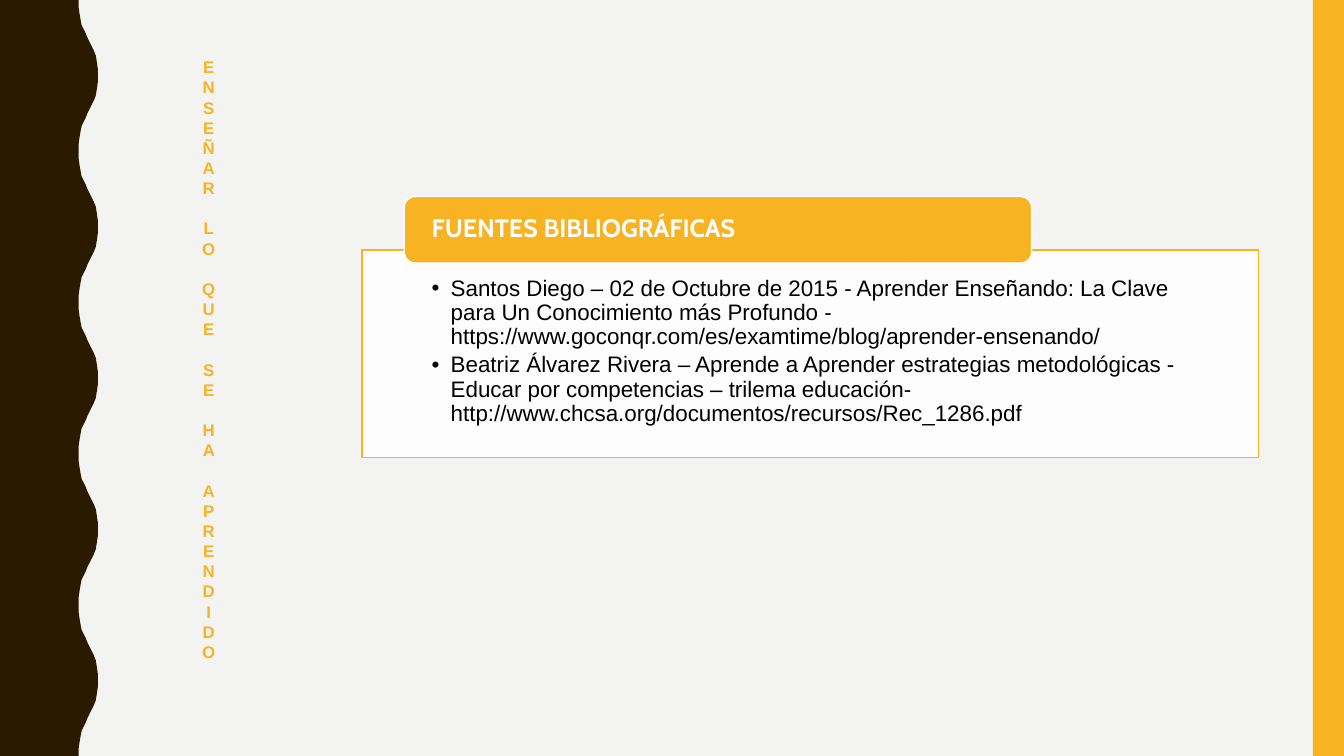
import pptx
import pptx.util
import pptx.dml.color
import pptx.enum.shapes
import pptx.enum.text
import pptx.oxml
import pptx.oxml.ns
from pptx.util import Inches

AMBER, BROWN, WHITE = "F8B323", "2A1A00", "FFFFFF"
ALIGN = pptx.enum.text.PP_ALIGN
ANCHOR = pptx.enum.text.MSO_ANCHOR
SHAPE = pptx.enum.shapes.MSO_SHAPE
SOURCES = [
    "Santos Diego – 02 de Octubre de 2015 - Aprender Enseñando: La Clave para Un "
    "Conocimiento más Profundo - https://www.goconqr.com/es/examtime/blog/aprender-ensenando/",
    "Beatriz Álvarez Rivera – Aprende a Aprender estrategias metodológicas - Educar por "
    "competencias – trilema educación- http://www.chcsa.org/documentos/recursos/Rec_1286.pdf",
]


def rgb(color):
    """Return the colour for a hex string."""
    return pptx.dml.color.RGBColor.from_string(color)


def paint(sp, fill, line=None):
    """Give a shape a solid fill and an optional one-point line."""
    sp.fill.solid()
    sp.fill.fore_color.rgb = rgb(fill)
    if line:
        sp.line.color.rgb = rgb(line)
        sp.line.width = pptx.util.Pt(1)
    else:
        sp.line.fill.background()


def place(sp, x, y, w, h):
    """Move and size a shape, in inches."""
    sp.left, sp.top, sp.width, sp.height = map(Inches, (x, y, w, h))


def write(sp, texts, size, color, font="Arial", bold=False, align=ALIGN.LEFT,
          anchor=ANCHOR.TOP, insets=(0.1, 0.05, 0.1, 0.05), spacing=1.0, after=0, bullet=None):
    """Fill a shape with formatted paragraphs."""
    tf = sp.text_frame
    tf.word_wrap = True
    tf.auto_size = pptx.enum.text.MSO_AUTO_SIZE.NONE
    tf.vertical_anchor = anchor
    tf.margin_left, tf.margin_top, tf.margin_right, tf.margin_bottom = map(Inches, insets)
    for i, text in enumerate(texts):
        p = tf.paragraphs[0] if i == 0 else tf.add_paragraph()
        p.alignment = align
        p.line_spacing = spacing
        p.space_before = pptx.util.Pt(0)
        p.space_after = pptx.util.Pt(after)
        if bullet:
            pPr = p._p.get_or_add_pPr()
            pPr.set("marL", str(Inches(0.19)))
            pPr.set("indent", str(-Inches(0.19)))
            pptx.oxml.ns.qn("a:buChar")
            mark = pptx.oxml.parse_xml(
                f'<a:buChar {pptx.oxml.ns.nsdecls("a")} char="{bullet}"/>')
            pPr.append(mark)
        r = p.add_run()
        r.text = text
        r.font.name, r.font.size, r.font.bold = font, pptx.util.Pt(size), bold
        r.font.color.rgb = rgb(color)


def add_wave(s, x, y, w, h):
    """Draw the dark band whose right edge waves five times."""
    rise = [(0.19, 0), (0.19, 0.07), (0.18, 0.14), (0.17, 0.2), (0.16, 0.25),
            (0.14, 0.29), (0.12, 0.33), (0.1, 0.38), (0.08, 0.42), (0.06, 0.46),
            (0.04, 0.5), (0.02, 0.55), (0.01, 0.61), (0, 0.68), (0, 0.75)]
    period = h / 5
    cycle = rise + [(dx, period - dy) for dx, dy in rise[-2::-1]]
    edge = [(x + w - dx, y + k * period + dy) for k in range(5) for dx, dy in cycle]
    builder = s.shapes.build_freeform(Inches(x), Inches(y))
    points = edge + [(x, y + h)]
    builder.add_line_segments([(Inches(a), Inches(b)) for a, b in points], close=True)
    sp = builder.convert_to_shape()
    sp.shadow.inherit = False
    paint(sp, BROWN)


def add_side_bar(s, x, y, w, h):
    """Draw the amber bar on the right edge."""
    sp = s.shapes.add_shape(SHAPE.RECTANGLE, *map(Inches, (x, y, w, h)))
    sp.shadow.inherit = False
    paint(sp, AMBER)


def add_sources(s, x, y, w, h):
    """Place the framed list of sources under its rounded heading."""
    body, title = s.placeholders[1], s.shapes.title
    place(body, x, y + 0.53, w, h - 0.53)
    paint(body, WHITE, AMBER)
    fill = body.fill.fore_color._xFill
    fill[0].append(pptx.oxml.parse_xml(
        f'<a:alpha {pptx.oxml.ns.nsdecls("a")} val="90000"/>'))
    write(body, SOURCES, 16, "000000", insets=(0.69, 0.27, 0.69, 0.12),
          spacing=0.9, after=2.8, bullet="•")
    tab = s.shapes.add_shape(SHAPE.ROUNDED_RECTANGLE,
                             *map(Inches, (x + 0.42, y, w * 0.7, 0.66)))
    tab.shadow.inherit = False
    paint(tab, AMBER, WHITE)
    place(title, x + 0.45, y + 0.03, w * 0.7 - 0.06, 0.6)
    write(title, ["FUENTES BIBLIOGRÁFICAS"], 18, WHITE, font="Cabin", bold=True,
          anchor=ANCHOR.MIDDLE, insets=(0.24, 0, 0.24, 0), spacing=0.9)
    tab._element.addnext(title._element)


def add_vertical_motto(s, x, y, w, h):
    """Write the motto with its letters stacked."""
    sp = s.shapes.add_textbox(*map(Inches, (x, y, w, h)))
    write(sp, ["ENSEÑAR LO QUE SE HA APRENDIDO "], 12, AMBER, bold=True, align=ALIGN.CENTER)
    sp.text_frame._txBody.bodyPr.set("vert", "wordArtVert")


def main():
    """Build the slide and save it."""
    prs = pptx.Presentation()
    prs.slide_width, prs.slide_height = Inches(13.33), Inches(7.5)
    s = prs.slides.add_slide(prs.slide_layouts[1])
    s.background.fill.solid()
    s.background.fill.fore_color.rgb = rgb("F3F3F2")
    add_wave(s, 0, 0, 0.97, 7.5)
    add_side_bar(s, 13.02, 0, 0.31, 7.5)
    add_sources(s, 3.59, 1.95, 8.89, 2.59)
    add_vertical_motto(s, 1.86, 0.15, 0.42, 7.03)
    prs.save("out.pptx")


if __name__ == "__main__":
    main()
